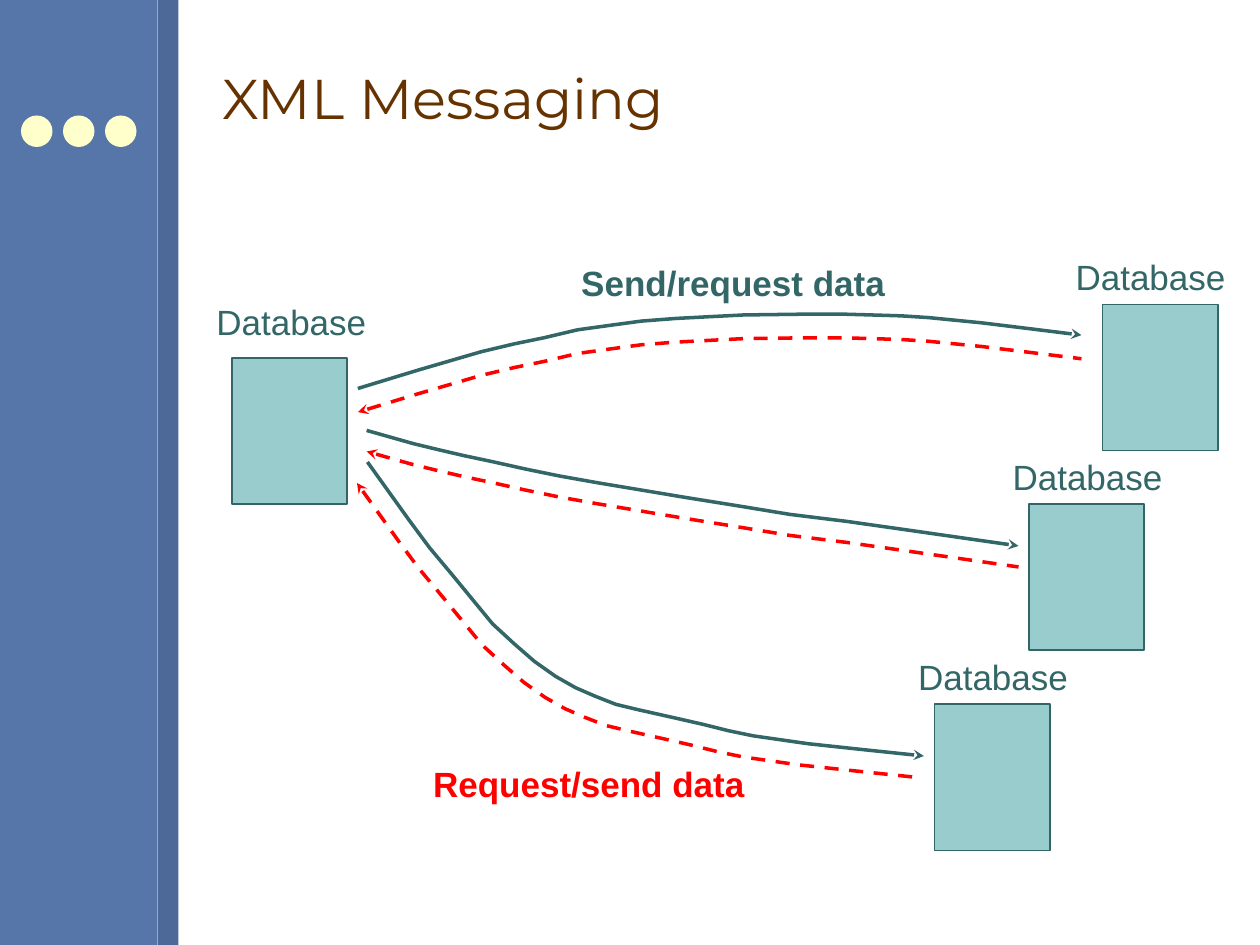
from dataclasses import dataclass

from lxml.etree import SubElement
from pptx import Presentation
from pptx.dml.color import RGBColor
from pptx.enum.dml import MSO_LINE
from pptx.enum.shapes import MSO_SHAPE as Shape
from pptx.enum.text import MSO_ANCHOR as Anchor, MSO_AUTO_SIZE as AutoSize, PP_ALIGN as Align
from pptx.oxml.ns import qn
from pptx.util import Pt


@dataclass(frozen=True)
class Theme:
    sidebar = RGBColor.from_string("5675A9")
    stripe = RGBColor.from_string("4D6997")
    dot = RGBColor.from_string("FFFFCC")
    title = RGBColor.from_string("663300")
    database = RGBColor.from_string("99CCCC")
    request = RGBColor.from_string("336666")
    reply = RGBColor.from_string("FF0000")
    title_font = "Montserrat"
    label_font = "Arial"
    title_size = Pt(32)
    label_size = Pt(20)


theme = Theme()
prs = Presentation()
prs.slide_width, prs.slide_height = Pt(720), Pt(540)
slide = prs.slides.add_slide(prs.slide_layouts[5])
shapes = slide.shapes


def add_block(kind, left, top, width, height, fill, outline=None):
    block = shapes.add_shape(kind, Pt(left), Pt(top), Pt(width), Pt(height))
    block.shadow.inherit = False
    block.fill.solid()
    block.fill.fore_color.rgb = fill
    if outline is None:
        block.line.fill.background()
    else:
        block.line.color.rgb = outline
        block.line.width = Pt(1)


def add_label(text, left, top, width, color, bold=False):
    label = shapes.add_textbox(Pt(left), Pt(top), Pt(width), Pt(31))
    frame = label.text_frame
    frame.word_wrap = False
    frame.auto_size = AutoSize.SHAPE_TO_FIT_TEXT
    frame.vertical_anchor = Anchor.MIDDLE
    line = frame.paragraphs[0]
    line.text = text
    line.alignment = Align.CENTER
    line.font.name = theme.label_font
    line.font.size = theme.label_size
    line.font.bold = bold
    line.font.color.rgb = color


# Sidebar
add_block(Shape.RECTANGLE, 0, 0, 90, 540, theme.sidebar)
add_block(Shape.RECTANGLE, 90, 0, 12, 540, theme.stripe)
for i in range(3):
    add_block(Shape.OVAL, 12 + 24 * i, 66, 18, 18, theme.dot)

# Title
title = shapes.title
title.left, title.top, title.width, title.height = Pt(120), Pt(15), Pt(576), Pt(81.5)
title.text_frame.vertical_anchor = Anchor.MIDDLE
heading = title.text_frame.paragraphs[0]
heading.text = "XML Messaging"
heading.alignment = Align.LEFT
heading.font.name = theme.title_font
heading.font.size = theme.title_size
heading.font.color.rgb = theme.title

# Databases: box left and top, label left and top
databases = [
    (132.5, 204.5, 116.5, 168),
    (630, 174, 607.5, 142.5),
    (588, 288, 571.5, 257),
    (534, 402.5, 517.5, 371),
]
for box_left, box_top, label_left, label_top in databases:
    add_block(Shape.RECTANGLE, box_left, box_top, 66, 83.5, theme.database, theme.request)
    add_label("Database", label_left, label_top, 100, theme.request)

# Each request route, with the shift that gives the route of its reply
routes = [
    ((0, 13.5), [
        (204.5, 222), (239, 211.5), (275, 201), (294, 196.5), (311, 193),
        (330, 188.5), (348, 186), (366.5, 183.5), (386, 182), (405.5, 181),
        (425, 180), (462, 179.5), (481, 179.5), (498, 180), (515, 180.5),
        (530.5, 181.5), (561, 184.5), (589.5, 188), (618, 191.5)]),
    ((0, 12), [
        (209.5, 246), (236, 253.5), (250.5, 257), (265.5, 260.5), (282, 264),
        (300, 268), (319.5, 272), (342, 276), (366, 280), (393, 284.5),
        (421, 289), (451.5, 294), (484, 298), (515.5, 302.5), (582, 312)]),
    ((-6, 12), [
        (210, 264), (234, 297.5), (245.5, 313), (258.5, 328.5), (270, 342.5),
        (281.5, 356.5), (294, 368), (305.5, 378), (317.5, 386.5), (329, 393),
        (340.5, 398), (352, 402.5), (364.5, 405.5), (389, 411), (402, 414),
        (416, 417.5), (430.5, 420.5), (462, 425), (494.5, 428.5), (528, 432)]),
]
for reply_shift, route in routes:
    for (dx, dy), color, arrow_end, dash in [
        ((0, 0), theme.request, "a:tailEnd", MSO_LINE.SOLID),
        (reply_shift, theme.reply, "a:headEnd", MSO_LINE.DASH),
    ]:
        points = [(Pt(x + dx), Pt(y + dy)) for x, y in route]
        builder = shapes.build_freeform(*points[0])
        builder.add_line_segments(points[1:], close=False)
        arrow = builder.convert_to_shape()
        arrow.shadow.inherit = False
        arrow.fill.background()
        arrow.line.color.rgb = color
        arrow.line.width = Pt(2)
        arrow.line.dash_style = dash
        SubElement(arrow.line._get_or_add_ln(), qn(arrow_end), type="stealth")

add_label("Send/request data", 324.5, 146, 189, theme.request, bold=True)
add_label("Request/send data", 240, 432, 193, theme.reply, bold=True)

prs.save("out.pptx")
